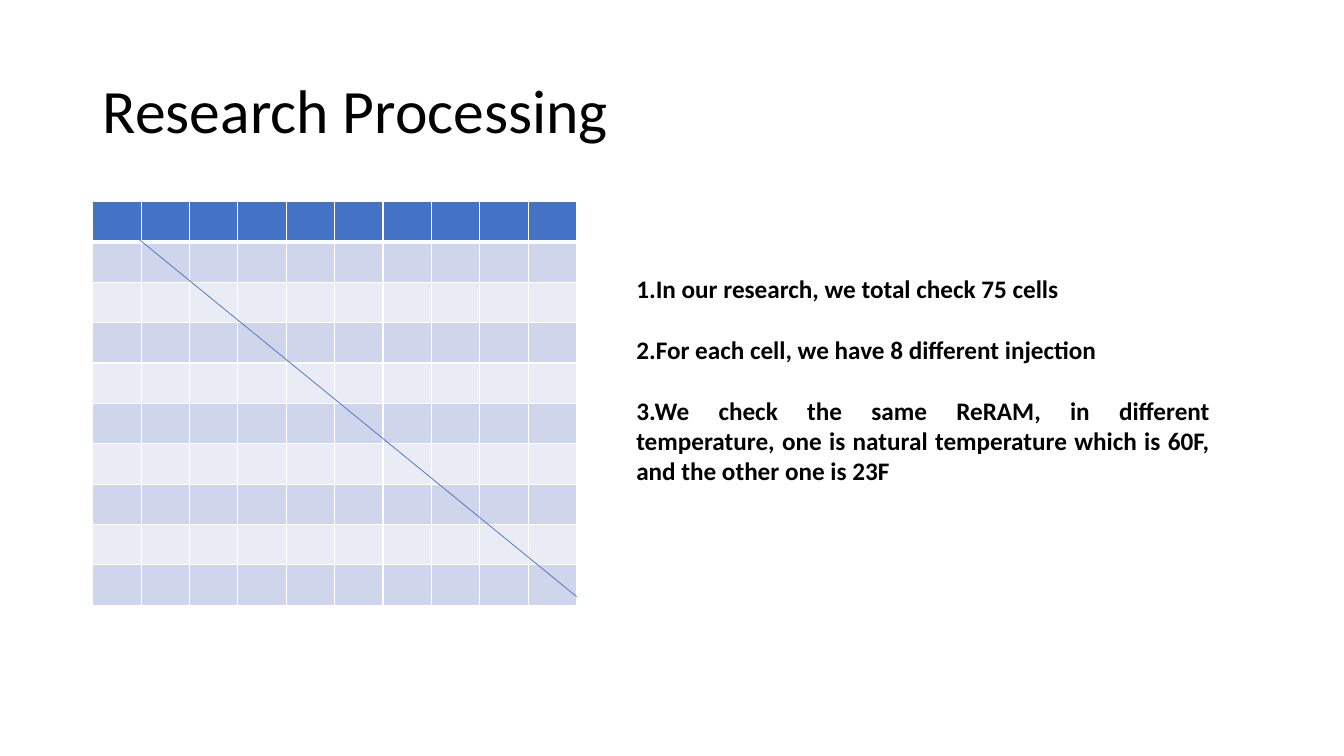
from lxml import etree
from pptx import Presentation
from pptx import util as u
from pptx.dml.color import RGBColor
from pptx.enum import shapes, text
from pptx.oxml import ns

BLUE = RGBColor(0x44, 0x72, 0xC4)
BAND = RGBColor(0xCF, 0xD5, 0xEA)
PALE = RGBColor(0xE9, 0xEB, 0xF5)
WHITE = RGBColor(0xFF, 0xFF, 0xFF)
BLACK = RGBColor(0, 0, 0)

SIZE = 10
LEFT, TOP = 6.9, 26.67
NOTES = [
    "1.In our research, we total check 75 cells",
    "2.For each cell, we have 8 different injection",
    "3.We check the same ReRAM, in different temperature, one is natural "
    "temperature which is 60F, and the other one is 23F",
]


class Deck:
    """Holds the style and the slide; lengths are percent of the slide's size."""

    face = "Calibri"

    def __init__(self):
        self.prs = Presentation()
        self.prs.slide_width, self.prs.slide_height = u.Inches(13.33), u.Inches(7.5)
        self.slide = self.prs.slides.add_slide(self.prs.slide_layouts[1])

    def x(self, share):
        return int(self.prs.slide_width * share / 100)

    def y(self, share):
        return int(self.prs.slide_height * share / 100)

    def box(self, left, top, width, height):
        return self.x(left), self.y(top), self.x(width), self.y(height)

    def place(self, shape, area):
        shape.left, shape.top, shape.width, shape.height = self.box(*area)
        return shape.text_frame

    def style(self, para, size, bold, align):
        para.alignment = align
        for run in para.runs:
            font = run.font
            font.name, font.size, font.bold = self.face, u.Pt(size), bold
            font.color.rgb = BLACK

    def title(self, words, area):
        frame = self.place(self.slide.shapes.title, area)
        frame.text = words
        frame.vertical_anchor = text.MSO_ANCHOR.MIDDLE
        frame.paragraphs[0].line_spacing = 0.9
        self.style(frame.paragraphs[0], 44, False, text.PP_ALIGN.LEFT)

    def body(self, lines, area):
        frame = self.place(self.slide.placeholders[1], area)
        frame.text = "\n".join(lines)
        frame.word_wrap = True
        frame.auto_size = text.MSO_AUTO_SIZE.SHAPE_TO_FIT_TEXT
        for i, para in enumerate(frame.paragraphs):
            para.space_before = u.Pt(22 if i else 0)
            self.style(para, 18, True, text.PP_ALIGN.JUSTIFY)
            props = para._p.get_or_add_pPr()
            props.set("marL", "0")
            props.set("indent", "0")
            etree.SubElement(props, ns.qn("a:buNone"))

    def edge(self, cell, side, width):
        props = cell._tc.get_or_add_tcPr()
        line = etree.SubElement(props, ns.qn("a:ln" + side), w=str(u.Pt(width)))
        fill = etree.SubElement(line, ns.qn("a:solidFill"))
        etree.SubElement(fill, ns.qn("a:srgbClr"), val=str(WHITE))

    def table(self, count, area):
        grid = self.slide.shapes.add_table(count, count, *self.box(*area)).table
        grid.first_row = grid.horz_banding = False
        for r, row in enumerate(grid.rows):
            for cell in row.cells:
                self.edge(cell, "L", 1)
                self.edge(cell, "R", 1)
                self.edge(cell, "T", 3 if r == 1 else 1)
                self.edge(cell, "B", 3 if r == 0 else 1)
                cell.fill.solid()
                cell.fill.fore_color.rgb = BLUE if r == 0 else BAND if r % 2 else PALE

    def line(self, x1, y1, x2, y2):
        rule = self.slide.shapes.add_connector(
            shapes.MSO_CONNECTOR.STRAIGHT,
            self.x(x1), self.y(y1), self.x(x2), self.y(y2))
        rule.line.color.rgb = BLUE
        rule.line.width = u.Pt(0.5)
        etree.SubElement(rule._element.spPr, ns.qn("a:effectLst"))


def main():
    deck = Deck()
    deck.title("Research Processing", (LEFT, 5.33, 86.27, 19.33))
    deck.table(SIZE, (LEFT, TOP, 36.01, 53.33))
    deck.line(LEFT, TOP, 42.91, 78.93)
    deck.body(NOTES, (46.59, 35.47, 44.19, 29.6))
    deck.prs.save("out.pptx")


if __name__ == "__main__":
    main()
